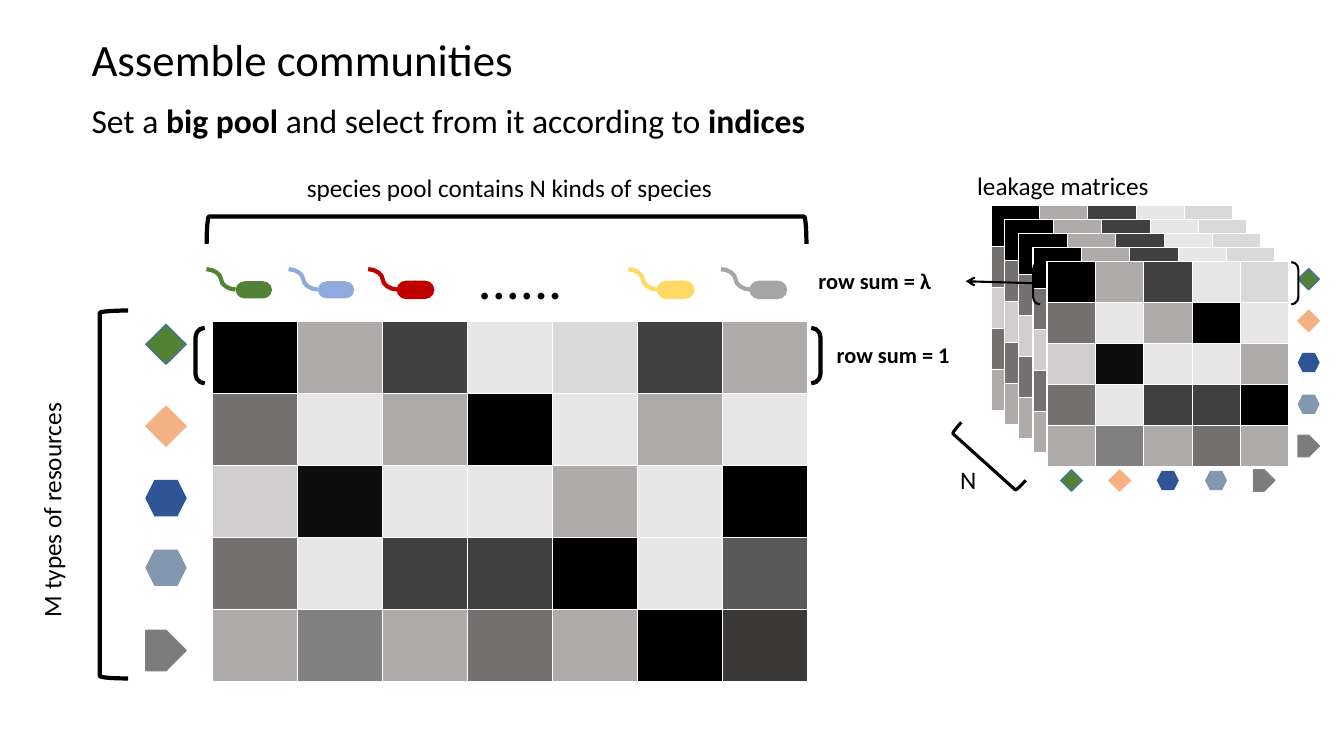
from lxml.etree import SubElement
from pptx import Presentation
from pptx.dml.color import RGBColor
from pptx.enum.shapes import MSO_CONNECTOR, MSO_SHAPE
from pptx.enum.text import MSO_ANCHOR, PP_ALIGN
from pptx.oxml import parse_xml
from pptx.oxml.ns import nsdecls, qn
from pptx.util import Pt

BLACK = RGBColor(0x00, 0x00, 0x00)
GREEN = RGBColor(0x54, 0x82, 0x35)
EDGE = RGBColor(0x43, 0x73, 0x9E)
PEACH = RGBColor(0xF4, 0xB1, 0x83)
NAVY = RGBColor(0x2F, 0x55, 0x97)
STEEL = RGBColor(0x84, 0x97, 0xB0)
STONE = RGBColor(0x7C, 0x7C, 0x7C)
RIM = RGBColor(0x80, 0x80, 0x80)
SKY = RGBColor(0x8F, 0xAA, 0xDC)
RED = RGBColor(0xC0, 0x00, 0x00)
GOLD = RGBColor(0xFF, 0xD9, 0x66)
GRAY = RGBColor(0xA5, 0xA5, 0xA5)
SHADES = {
    "K": BLACK,
    "A": RGBColor(0xAF, 0xAB, 0xAB),
    "D": RGBColor(0x40, 0x40, 0x40),
    "E": RGBColor(0xE7, 0xE7, 0xE7),
    "L": RGBColor(0xD9, 0xD9, 0xD9),
    "M": RGBColor(0x76, 0x71, 0x71),
    "P": RGBColor(0xD0, 0xCE, 0xCE),
    "N": RGBColor(0x0D, 0x0D, 0x0D),
    "R": RIM,
    "S": RGBColor(0x59, 0x59, 0x59),
    "T": RGBColor(0x3B, 0x38, 0x38),
}
POOL = ["KADELDA", "MEAKEAE", "PNEEAEK", "MEDDKES", "ARAMAKT"]
LEAK = [row[:5] for row in POOL]

prs = Presentation()
prs.slide_width, prs.slide_height = Pt(960), Pt(540)
slide = prs.slides.add_slide(prs.slide_layouts[6])
shapes = slide.shapes


def write(text, x, y, w, h, size=18, align=PP_ALIGN.LEFT, anchor=MSO_ANCHOR.TOP,
          space=1.0, wrap=True, vert="horz"):
    """Add a text box; words between asterisks are bold."""
    box = shapes.add_textbox(Pt(x), Pt(y), Pt(w), Pt(h))
    frame = box.text_frame
    frame.word_wrap = wrap
    frame.vertical_anchor = anchor
    box.element.txBody.find(qn("a:bodyPr")).set("vert", vert)
    para = frame.paragraphs[0]
    para.alignment, para.line_spacing = align, space
    for i, part in enumerate(text.split("*")):
        if part:
            run = para.add_run()
            run.text = part
            font = run.font
            font.name, font.size, font.bold = "Calibri", Pt(size), i % 2 == 1
            font.color.rgb = BLACK


def draw(home, kind, x, y, w, h, fill=None, line=None, width=1, turn=0):
    shape = home.add_shape(kind, Pt(x), Pt(y), Pt(w), Pt(h))
    shape.shadow.inherit = False
    shape.rotation = turn
    if fill is None:
        shape.fill.background()
    else:
        shape.fill.solid()
        shape.fill.fore_color.rgb = fill
    if line is None:
        shape.line.fill.background()
    else:
        shape.line.color.rgb = line
        shape.line.width = Pt(width)
    return shape


write("Assemble communities", 58.3, 8, 735, 72.7, size=32,
      anchor=MSO_ANCHOR.MIDDLE, space=0.9)
write("Set a *big pool* and select from it according to *indices*",
      58.3, 57.6, 818.6, 60.5, size=24, anchor=MSO_ANCHOR.MIDDLE, space=0.9)

# Species pool matrix, then the stack of leakage matrices
grids = [(POOL, 151.8, 229.8, 60.7, 51.4)]
grids += [(LEAK, 707.8 + 10 * i, 147 + 10 * i, 34.6, 29.2) for i in range(5)]
for rows, x, y, w, h in grids:
    table = shapes.add_table(len(rows), len(rows[0]), Pt(x), Pt(y),
                             Pt(w * len(rows[0])), Pt(h * len(rows))).table
    for col in table.columns:
        col.width = Pt(w)
    for r, row in enumerate(rows):
        table.rows[r].height = Pt(h)
        for c, shade in enumerate(row):
            cell = table.cell(r, c)
            cell.fill.solid()
            cell.fill.fore_color.rgb = SHADES[shade]
            props = cell._tc.get_or_add_tcPr()
            for i, side in enumerate("LRTB"):
                props.insert(i, parse_xml(
                    f'<a:ln{side} {nsdecls("a")} w="12700"><a:solidFill>'
                    f'<a:srgbClr val="FFFFFF"/></a:solidFill></a:ln{side}>'))

# Species: a two-part body with a curved tail
wires = []
for x, color, line in [(147.5, GREEN, None), (206.2, SKY, None), (263, RED, RED),
                       (448.8, GOLD, GOLD), (515, GRAY, GRAY)]:
    group = shapes.add_group_shape().shapes
    for shift, turn in [(33.8, 0), (20.8, 180)]:
        draw(group, MSO_SHAPE.FLOWCHART_DELAY, x + shift, 200.9, 13, 12.3,
             color, line, turn=turn)
    tail = group.add_connector(MSO_CONNECTOR.CURVE, Pt(x), Pt(192.3),
                               Pt(x + 20.8), Pt(206.8))
    wires.append((tail, color, 3))

# Resource icons: beside the pool, beside the stack and below it
icons = [
    (MSO_SHAPE.DIAMOND, GREEN, EDGE, 28.8, 28.4, 246),
    (MSO_SHAPE.DIAMOND, PEACH, PEACH, 28.8, 28.4, 304.4),
    (MSO_SHAPE.HEXAGON, NAVY, None, 29.6, 26, 355.8),
    (MSO_SHAPE.HEXAGON, STEEL, None, 29.6, 26, 405.6),
    (MSO_SHAPE.PENTAGON, STONE, RIM, 28.8, 28.8, 464.6),
]
for i, (kind, fill, line, w, h, mid) in enumerate(icons):
    for x, y, scale in [(118.6, mid, 1), (934.8, 199.4 + 29.8 * i, 0.53),
                        (765.4 + 34.4 * i, 343.2, 0.53)]:
        draw(shapes, kind, x - w * scale / 2, y - h * scale / 2,
             w * scale, h * scale, fill, line)

# Brackets
for x, y, w, h, width, turn in [(352, -49.7, 19.6, 428.4, 3, 90),
                                (71.3, 221.8, 20.2, 262.8, 3, 0),
                                (701.3, 295.2, 10, 61.9, 2.25, 312)]:
    draw(shapes, MSO_SHAPE.LEFT_BRACKET, x, y, w, h, None, BLACK, width, turn)
draw(shapes, MSO_SHAPE.DOUBLE_BRACKET, 139.7, 234.2, 446.4, 39.6, None, BLACK, 3)
pair = draw(shapes, MSO_SHAPE.DOUBLE_BRACKET, 738, 187.2, 189.4, 30.2,
            None, BLACK, 1.5)

arrow = shapes.add_connector(MSO_CONNECTOR.STRAIGHT, Pt(738), Pt(202.3),
                             Pt(689.8), Pt(200.9))
arrow.begin_connect(pair, 1)
wires.append((arrow, BLACK, 1.5))
for wire, color, width in wires:
    wire.line.color.rgb = color
    wire.line.width = Pt(width)
    SubElement(wire.element.spPr, qn("a:effectLst"))
SubElement(arrow.line._get_or_add_ln(), qn("a:tailEnd")).set("type", "arrow")

# Labels
write("species pool contains N kinds of species", 165.6, 119.5, 396.7, 29,
      align=PP_ALIGN.CENTER)
write("leakage matrices", 618.5, 118.1, 281.5, 29, align=PP_ALIGN.CENTER)
write("M types of resources", 22.3, 238.3, 36, 209.5, vert="vert270")
write("N", 678.8, 328.3, 28, 29, wrap=False)
write("......", 334.1, 170.6, 92.9, 55.4, size=40)
write("*row sum = 1*", 590.6, 240.5, 134.6, 26.6, size=16)
write("*row sum = λ*", 577.6, 187.2, 134.6, 26.6, size=16)

prs.save("out.pptx")
